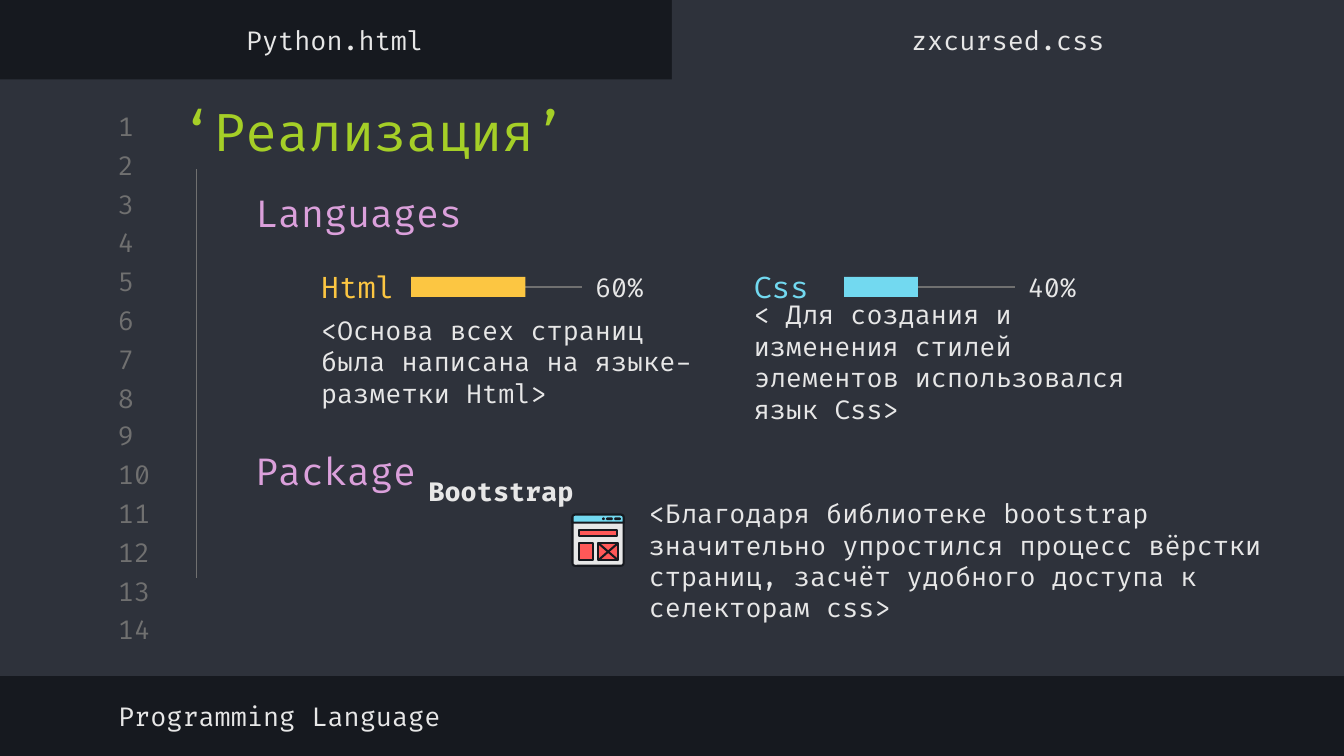
from dataclasses import dataclass

from lxml.etree import SubElement
from pptx import Presentation
from pptx.dml.color import RGBColor
from pptx.enum.shapes import MSO_CONNECTOR as Connector, MSO_SHAPE as Shape
from pptx.enum.text import MSO_ANCHOR as Anchor, MSO_AUTO_SIZE as AutoSize, PP_ALIGN as Align
from pptx.oxml.ns import qn
from pptx.util import Pt

EMU_PER_PX = 9144


@dataclass(frozen=True)
class Theme:
    font: str = "Fira Code"
    dark: str = "16191F"
    panel: str = "2E323B"
    muted: str = "707070"
    light: str = "E7E7E7"
    green: str = "A5CF27"
    pink: str = "DBA0DB"
    yellow: str = "FCC642"
    cyan: str = "72D9F0"
    red: str = "FF5858"
    title: int = 28
    heading: int = 20
    label: int = 16
    body: int = 14
    hairline: float = 0.75
    icon_line: float = 1.1


THEME = Theme()


def px(value):
    return round(value * EMU_PER_PX)


def color(value):
    return RGBColor.from_string(value)


def set_all(target, values):
    for name, value in values.items():
        setattr(target, name, value)


def write_text(shape, text, ink, size, align=Align.LEFT, anchor=Anchor.MIDDLE, bold=False):
    frame = shape.text_frame
    frame.text = text
    margins = dict.fromkeys(("margin_left", "margin_top", "margin_right", "margin_bottom"), px(10))
    set_all(frame, {"word_wrap": True, "auto_size": AutoSize.NONE, "vertical_anchor": anchor, **margins})
    for paragraph in frame.paragraphs:
        paragraph.alignment = align
        for run in paragraph.runs:
            set_all(run.font, {"name": THEME.font, "size": Pt(size), "bold": bold})
            run.font.color.rgb = color(ink)


def add_text(slide, box, text, ink=THEME.light, size=THEME.body, **style):
    write_text(slide.shapes.add_textbox(*map(px, box)), text, ink, size, **style)


def add_title(slide, box, text):
    title = slide.shapes.title
    set_all(title, dict(zip(("left", "top", "width", "height"), map(px, box))))
    write_text(title, text, THEME.green, THEME.title, anchor=Anchor.TOP)
    slide.shapes.element.append(title.element)


def add_block(shapes, box, fill, outline=None, kind=Shape.RECTANGLE, rounding=None):
    block = shapes.add_shape(kind, *map(px, box))
    block.shadow.inherit = False
    block.fill.solid()
    block.fill.fore_color.rgb = color(fill)
    if rounding is not None:
        block.adjustments[0] = rounding
    if outline:
        block.line.color.rgb = color(outline)
        block.line.width = Pt(THEME.icon_line)
    else:
        block.line.fill.background()
    return block


def add_line(shapes, start, end, ink=THEME.muted, width=THEME.hairline):
    line = shapes.add_connector(Connector.STRAIGHT, *map(px, (*start, *end)))
    line.line.color.rgb = color(ink)
    line.line.width = Pt(width)
    SubElement(line.element.spPr, qn("a:effectLst"))
    return line


def add_line_numbers(slide, count):
    for index in range(count):
        top = round(82 + index * 28.8)
        add_text(slide, (78, top, 47, 24), str(index + 1), THEME.muted)


def add_language(slide, left, name, ink, bar_width, percent, description):
    bar_left, bar_end = left + 77, left + 204
    add_text(slide, (left, 195, 80, 37), name, ink, THEME.label)
    track = add_line(slide.shapes, (bar_left, 213), (bar_end, 213))
    bar = add_block(slide.shapes, (bar_left, 206, bar_width, 15), ink)
    track.begin_connect(bar, 1)
    track.end_y = track.begin_y
    add_text(slide, (bar_end, 195, 80, 37), percent)
    add_text(slide, (left, 229, 299, 80), description)


def add_page_icon(slide):
    shapes = slide.shapes.add_group_shape().shapes
    add_block(shapes, (426, 383, 38, 38), THEME.light, THEME.dark, Shape.ROUNDED_RECTANGLE, 0.05)
    add_block(shapes, (426, 383, 38, 6), THEME.cyan, THEME.dark, Shape.ROUND_2_SAME_RECTANGLE, 0.3)
    for left, width in ((448, 2), (451, 5), (457, 5)):
        add_block(shapes, (left, 385, width, 2), THEME.dark, kind=Shape.ROUNDED_RECTANGLE, rounding=0.5)
    for box in ((431, 394, 28, 5), (431, 404, 10, 13), (445, 404, 15, 13)):
        add_block(shapes, box, THEME.red, THEME.dark)
    for start_y, end_y in ((404, 417), (417, 404)):
        add_line(shapes, (445, start_y), (460, end_y), THEME.dark, THEME.icon_line)


def main():
    presentation = Presentation()
    set_all(presentation, {"slide_width": px(1000), "slide_height": px(562.5)})
    slide = presentation.slides.add_slide(presentation.slide_layouts[5])
    slide.background.fill.solid()
    slide.background.fill.fore_color.rgb = color(THEME.dark)

    for box in ((0, 59, 1000, 444), (500, 0, 500, 65)):
        add_block(slide.shapes, box, THEME.panel)
    add_line_numbers(slide, 14)
    add_title(slide, (125, 64, 797, 59), "‘Реализация’")
    add_line(slide.shapes, (146, 126), (146, 430))

    for top, heading in ((140, "Languages"), (332, "Package")):
        add_text(slide, (180, top, 386, 37), heading, THEME.pink, THEME.heading)
    add_language(slide, 229, "Html", THEME.yellow, 85, "60%",
                 "<Основа всех страниц была написана на языке-разметки Html>")
    add_language(slide, 551, "Css", THEME.cyan, 55, "40%",
                 "< Для создания и изменения стилей элементов использовался язык Css>")

    add_page_icon(slide)
    add_text(slide, (309, 338, 152, 55), "Bootstrap", bold=True)
    add_text(slide, (473, 377, 500, 80),
             "<Благодаря библиотеке bootstrap значительно упростился процесс вёрстки\n"
             "страниц, засчёт удобного доступа к селекторам css>")

    add_text(slide, (78, 513, 532, 39), "Programming Language")
    for left, tab in ((-1, "Python.html"), (500, "zxcursed.css")):
        add_text(slide, (left, 10, 500, 39), tab, align=Align.CENTER)
    presentation.save("out.pptx")


if __name__ == "__main__":
    main()
